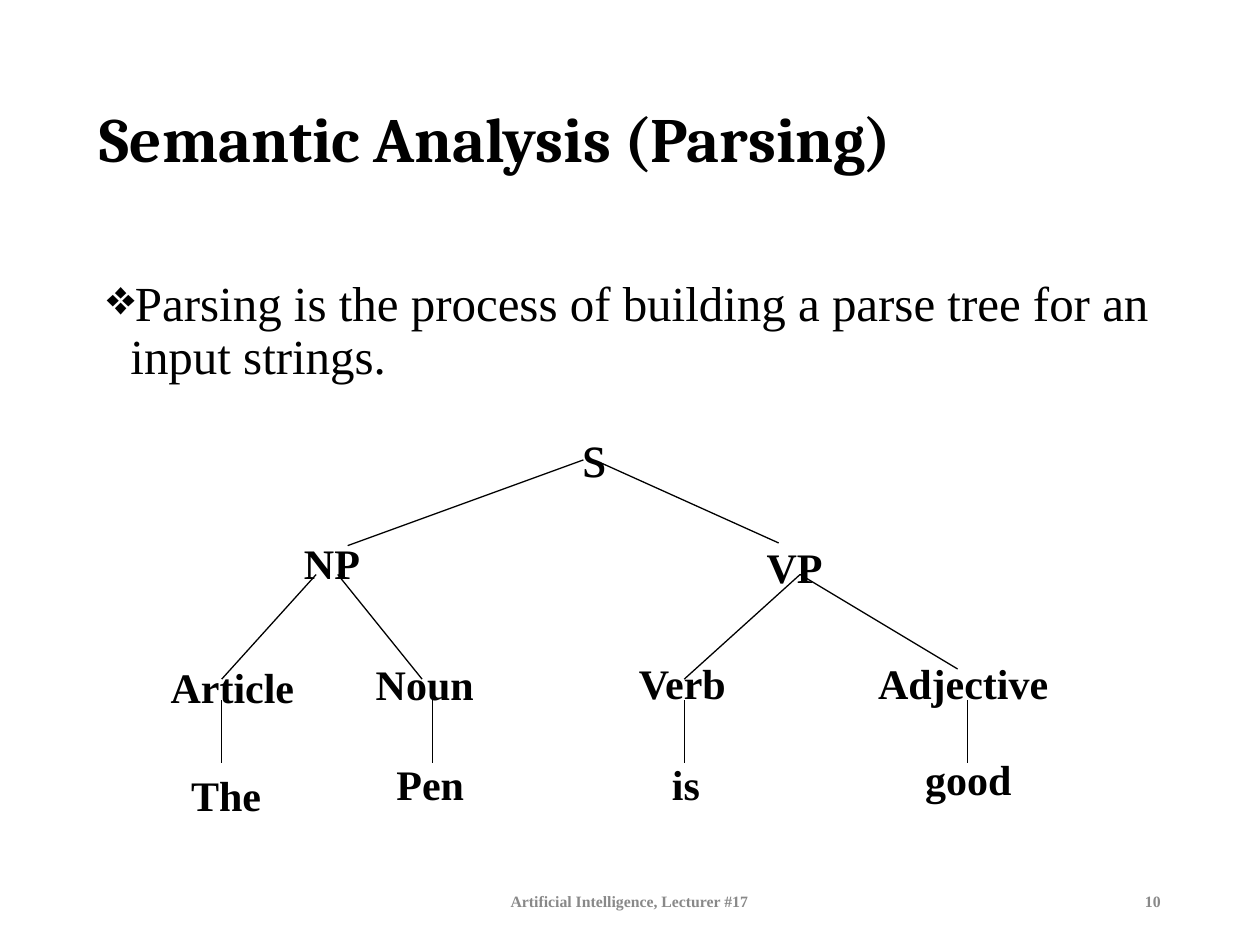
from dataclasses import dataclass

from lxml import etree
from pptx import Presentation
from pptx.dml.color import RGBColor
from pptx.enum.shapes import MSO_CONNECTOR
from pptx.enum.text import MSO_ANCHOR, MSO_AUTO_SIZE, PP_ALIGN
from pptx.oxml.ns import qn
from pptx.util import Pt

BLACK = RGBColor(0x00, 0x00, 0x00)
GRAY = RGBColor(0x89, 0x89, 0x89)
SERIF = "Times New Roman"
LEFT, CENTER, RIGHT = PP_ALIGN.LEFT, PP_ALIGN.CENTER, PP_ALIGN.RIGHT
TOP, MIDDLE = MSO_ANCHOR.TOP, MSO_ANCHOR.MIDDLE
STRAIGHT = MSO_CONNECTOR.STRAIGHT
FIT_SHAPE = MSO_AUTO_SIZE.SHAPE_TO_FIT_TEXT


@dataclass
class Node:
    text: str
    left: float
    top: float
    width: float
    height: float = 36
    size: float = 24
    bold: bool = True
    inset: float = 5.6


@dataclass
class Branch:
    x1: float
    y1: float
    x2: float
    y2: float


NODES = [
    Node("s", 301, 234, 77.8, height=43.2, size=36, bold=False, inset=3),
    Node("NP", 162.7, 301.7, 54),
    Node("VP", 427, 303.8, 54),
    Node("Adjective", 490.3, 370.1, 120.2),
    Node("Article", 72.7, 372.2, 120.2),
    Node("Verb", 344.9, 370.1, 90),
    Node("Noun", 203.8, 370.8, 77.8),
    Node("The", 69.1, 434.2, 120.2),
    Node("Pen", 185.8, 427.7, 120.2),
    Node("is", 331.9, 427.7, 120.2),
    Node("good", 493.2, 424.8, 120.2),
]

LEAF_TOP, LEAF_BOTTOM = 400.3, 436.3
LEAF_XS = [126.7, 247, 391, 553]
BRANCHES = [
    Branch(198.7, 311.8, 333.4, 262.8),
    Branch(342.7, 264.2, 445, 310.3),
    Branch(180.7, 328.3, 126.7, 388.1),
    Branch(193, 328.3, 241.2, 388.1),
    Branch(457.2, 328.3, 391, 388.1),
    Branch(457.2, 328.3, 547.2, 382.3),
] + [Branch(x, LEAF_TOP, x, LEAF_BOTTOM) for x in LEAF_XS]


def place(sp, left: float, top: float, width: float, height: float) -> None:
    sp.left, sp.top = Pt(left), Pt(top)
    sp.width, sp.height = Pt(width), Pt(height)


def write(sp, text: str, *, size: float, font: str = SERIF,
          color: RGBColor = BLACK, bold: bool = False, align=LEFT,
          anchor=TOP, inset: float = 3.6, spacing: float = 1.0,
          bullet: str = "", indent: float = 0) -> None:
    tf = sp.text_frame
    tf.word_wrap = True
    tf.vertical_anchor = anchor
    tf.margin_left = tf.margin_right = Pt(7.2)
    tf.margin_top, tf.margin_bottom = Pt(inset), Pt(3.6)
    p = tf.paragraphs[0]
    p.alignment = align
    p.line_spacing = spacing
    if bullet:
        pPr = p._p.get_or_add_pPr()
        pPr.set("marL", str(Pt(indent)))
        pPr.set("indent", str(-Pt(indent)))
        etree.SubElement(pPr, qn("a:buChar")).set("char", bullet)
    r = p.add_run()
    r.text = text
    r.font.name = font
    r.font.size = Pt(size)
    r.font.bold = bold
    r.font.color.rgb = color


def add_text(shapes, text: str, left: float, top: float, width: float,
             height: float, **fmt):
    sp = shapes.add_textbox(Pt(left), Pt(top), Pt(width), Pt(height))
    write(sp, text, **fmt)
    return sp


def add_node(shapes, node: Node) -> None:
    sp = add_text(shapes, node.text, node.left, node.top, node.width,
                  node.height, size=node.size, bold=node.bold,
                  align=CENTER, inset=node.inset)
    sp.text_frame.auto_size = FIT_SHAPE


def add_branch(shapes, b: Branch) -> None:
    line = shapes.add_connector(STRAIGHT, Pt(b.x1), Pt(b.y1),
                                Pt(b.x2), Pt(b.y2))
    line.line.color.rgb = BLACK
    line.line.width = Pt(0.75)
    etree.SubElement(line._element.spPr, qn("a:effectLst"))


def main() -> None:
    prs = Presentation()
    prs.slide_width, prs.slide_height = Pt(720), Pt(540)
    s = prs.slides.add_slide(prs.slide_layouts[5])

    title = s.shapes.title
    place(title, 49.7, 28.8, 621.4, 104.4)
    write(title, "Semantic Analysis (Parsing)", size=36, font="Cambria",
          bold=True, anchor=MIDDLE, spacing=0.9)

    add_text(s.shapes, "Parsing is the process of building a parse tree for "
             "an input strings.", 54, 156.2, 612, 84.2, size=28,
             spacing=0.9, bullet="❖", indent=13.5)

    footer = dict(size=9, color=GRAY, bold=True, anchor=MIDDLE)
    add_text(s.shapes, "Artificial Intelligence, Lecturer #17",
             238.3, 500.4, 242.6, 28.8, align=CENTER, **footer)
    add_text(s.shapes, "10", 508.3, 500.4, 162, 28.8, align=RIGHT, **footer)

    tree = s.shapes.add_group_shape()
    for node in NODES:
        add_node(tree.shapes, node)
    for branch in BRANCHES:
        add_branch(tree.shapes, branch)

    prs.save("out.pptx")


if __name__ == "__main__":
    main()
